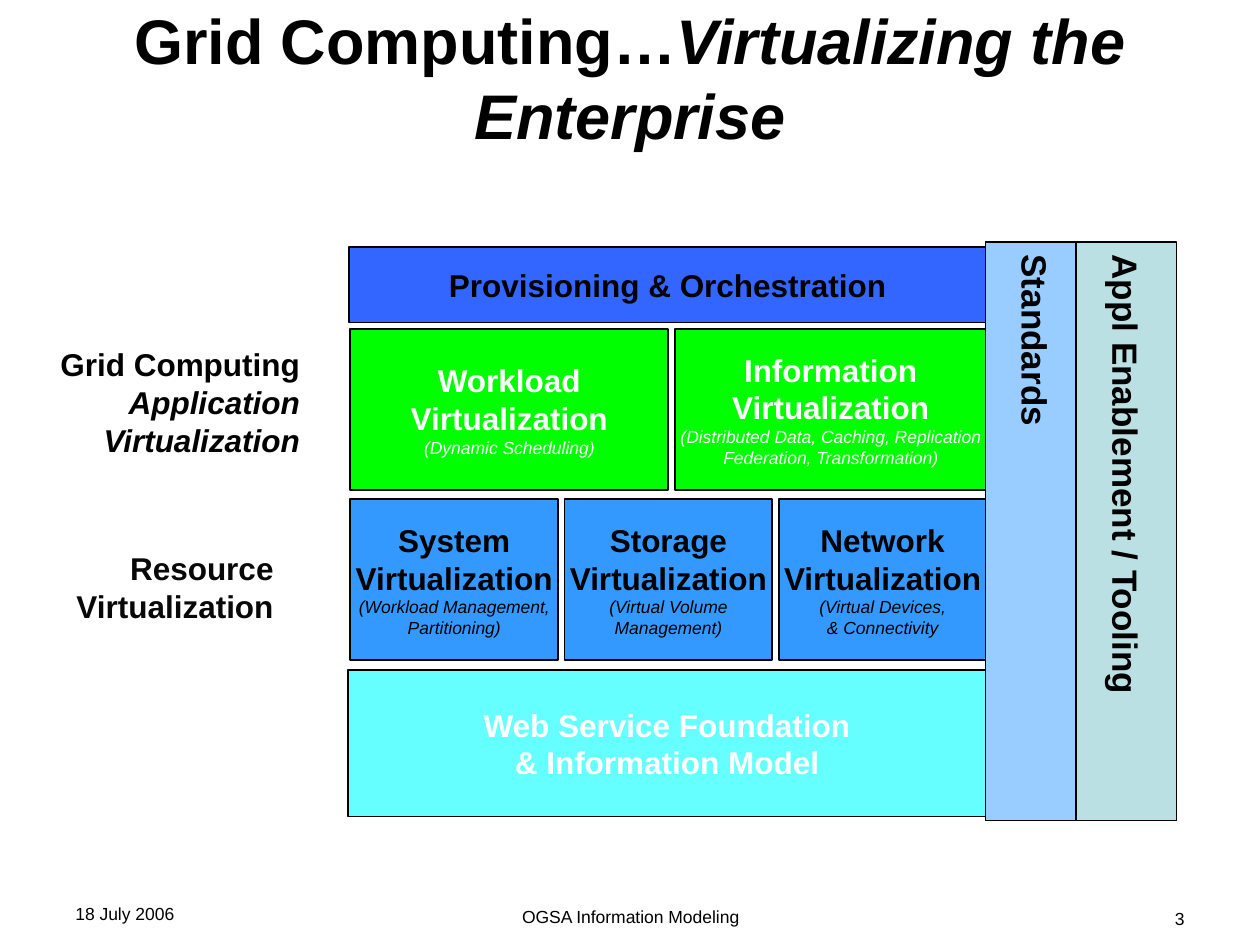
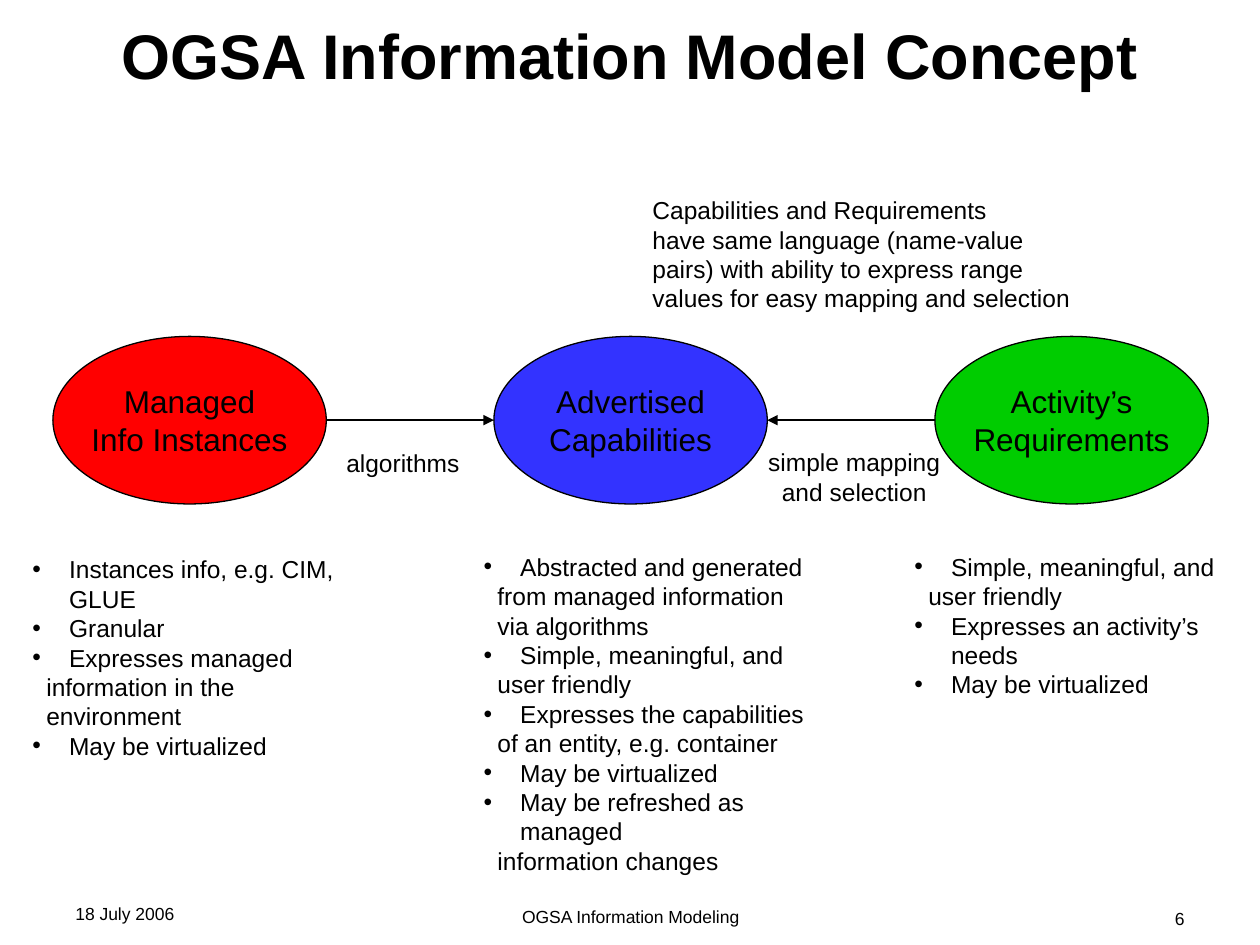
from lxml.etree import SubElement
from pptx import Presentation
from pptx.dml.color import RGBColor
from pptx.enum.shapes import MSO_CONNECTOR, MSO_SHAPE
from pptx.enum.text import MSO_ANCHOR as Anchor, PP_ALIGN as Align
from pptx.oxml.ns import qn
from pptx.util import Inches, Pt

WIDTH, HEIGHT = 10, 7.5
FONT = "Arial"
COLORS = {
    "black": "000000", "label": "080808", "white": "FFFFFF",
    "provisioning": "3366FF", "application": "00FF00",
    "resource": "3399FF", "foundation": "66FFFF",
    "standards": "99CCFF", "tooling": "BBE0E3",
    "managed": "FF0000", "advertised": "3333FF", "activity": "00CC00",
}

# ---- Shared content: text, box, alignment ----
DATE = ("18 July 2006", (0.5, 7.12, 2.33, 0.23), Align.LEFT)
FOOTER = ("OGSA Information Modeling", (3.42, 7.14, 3.17, 0.21), Align.CENTER)
NUMBER_BOX = (7.17, 7.16, 2.33, 0.19)

# ---- Content of the virtualization slide ----
# A line is a list of (text, style) runs; style letters: b bold, i italic
VIRTUALIZING_TITLE = [("Grid Computing…", "b"), ("Virtualizing the Enterprise", "bi")]
STACK_RIGHT, STACK_GAP = 7.83, 0.05
# left, top, height, fill, text colour, [(share of row, headings, details)]
STACK_ROWS = [
    (2.77, 1.96, 0.6, "provisioning", "black",
     [(1, ["Provisioning & Orchestration"], [])]),
    (2.78, 2.61, 1.28, "application", "white",
     [(0.505, ["Workload", "Virtualization"], ["(Dynamic Scheduling)"]),
      (0.495, ["Information", "Virtualization"],
       ["(Distributed Data, Caching, Replication", "Federation, Transformation)"])]),
    (2.78, 3.96, 1.28, "resource", "black",
     [(1 / 3, ["System", "Virtualization"], ["(Workload Management,", "Partitioning)"]),
      (1 / 3, ["Storage", "Virtualization"], ["(Virtual Volume", "Management)"]),
      (1 / 3, ["Network", "Virtualization"], ["(Virtual Devices,", "& Connectivity"])]),
    (2.76, 5.32, 1.16, "foundation", "white",
     [(1, ["Web Service Foundation", "& Information Model"], [])]),
]
PILLARS = [("Standards", 7.82, "standards"),
           ("Appl Enablement / Tooling", 8.54, "tooling")]
PILLAR_TOP, PILLAR_WIDTH, PILLAR_HEIGHT = 1.92, 0.8, 4.59
ROW_LABELS = [
    ((0, 2.69, 2.48, 1), "black",
     [("Grid Computing", "b"), ("Application", "bi"), ("Virtualization", "bi")]),
    ((0, 4.31, 2.27, 0.7), "label", [("Resource", "b"), ("Virtualization", "b")]),
]

# ---- Content of the concept slide ----
CONCEPT_TITLE = [("OGSA Information Model Concept", "b")]
OVAL_LEFT, OVAL_TOP, OVAL_WIDTH, OVAL_HEIGHT, OVAL_STEP = 0.42, 2.67, 2.17, 1.33, 3.5
OVALS = [("managed", ["Managed", "Info Instances"]),
         ("advertised", ["Advertised", "Capabilities"]),
         ("activity", ["Activity’s", "Requirements"])]
CAPTIONS = [
    ((2.65, 3.51, 1.3, 0.34), Align.LEFT, ["algorithms"]),
    ((5.9, 3.5, 1.76, 0.57), Align.CENTER, ["simple mapping", "and selection"]),
    ((5.08, 1.5, 3.8, 1.04), Align.LEFT,
     ["Capabilities and Requirements", "have same language (name-value",
      "pairs) with ability to express range", "values for easy mapping and selection"]),
]
# left, top, [(bulleted, text)]
BULLET_WIDTH, BULLET_HANG, FOLLOW_INDENT = 2.84, 0.29, 0.11
BULLET_COLUMNS = [
    (0.16, 4.35, [
        (True, "Instances info, e.g. CIM,\vGLUE"),
        (True, "Granular"),
        (True, "Expresses managed"),
        (False, "information in the environment"),
        (True, "May be virtualized")]),
    (3.74, 4.33, [
        (True, "Abstracted and generated"),
        (False, "from managed information"),
        (False, "via algorithms"),
        (True, "Simple, meaningful, and"),
        (False, "user friendly"),
        (True, "Expresses the capabilities"),
        (False, "of an entity, e.g. container"),
        (True, "May be virtualized"),
        (True, "May be refreshed as\vmanaged"),
        (False, "information changes")]),
    (7.16, 4.33, [
        (True, "Simple, meaningful, and"),
        (False, "user friendly"),
        (True, "Expresses an activity’s\vneeds"),
        (True, "May be virtualized")]),
]


# ---- Helpers ----
def color(name):
    return RGBColor.from_string(COLORS[name])


def inches(*lengths):
    return [Inches(length) for length in lengths]


def format_run(run, size, name, style=""):
    run.font.name = FONT
    run.font.size = Pt(size)
    run.font.bold = "b" in style
    run.font.italic = "i" in style
    run.font.color.rgb = color(name)


def write(shape, lines, name="black", align=Align.CENTER, anchor=Anchor.TOP, wrap=True):
    """Each line is a (size, runs) pair and becomes one paragraph."""
    frame = shape.text_frame
    frame.word_wrap = wrap
    frame.vertical_anchor = anchor
    for index, (size, runs) in enumerate(lines):
        paragraph = frame.add_paragraph() if index else frame.paragraphs[0]
        paragraph.alignment = align
        for text, style in runs:
            run = paragraph.add_run()
            run.text = text
            format_run(run, size, name, style)


def plain(size, texts, style=""):
    return [(size, [(text, style)]) for text in texts]


def add_text(slide, box, lines, **options):
    shape = slide.shapes.add_textbox(*inches(*box))
    write(shape, lines, **options)
    return shape


def add_block(slide, kind, box, fill, lines, line_width, name="black"):
    shape = slide.shapes.add_shape(kind, *inches(*box))
    shape.shadow.inherit = False
    shape.fill.solid()
    shape.fill.fore_color.rgb = color(fill)
    shape.line.color.rgb = color("black")
    shape.line.width = Pt(line_width)
    write(shape, lines, name, anchor=Anchor.MIDDLE, wrap=False)
    return shape


def add_arrow(slide, start, end, y):
    arrow = slide.shapes.add_connector(MSO_CONNECTOR.STRAIGHT, *inches(start, y, end, y))
    arrow.line.color.rgb = color("black")
    arrow.line.width = Pt(1)
    SubElement(arrow.line._get_or_add_ln(), qn("a:tailEnd"), type="triangle")
    SubElement(arrow._element.spPr, qn("a:effectLst"))


def indent(paragraph, bulleted):
    properties = paragraph._p.get_or_add_pPr()
    margin = BULLET_HANG if bulleted else FOLLOW_INDENT
    properties.set("marL", str(Inches(margin)))
    properties.set("indent", str(-Inches(margin) if bulleted else 0))
    if bulleted:
        SubElement(properties, qn("a:buFont"), typeface=FONT)
        SubElement(properties, qn("a:buChar"), char="•")


def add_base(presentation, number, title, title_box):
    slide = presentation.slides.add_slide(presentation.slide_layouts[6])
    heading = add_text(slide, title_box, [(36, title)], anchor=Anchor.MIDDLE)
    for text, box, align in (DATE, FOOTER, (number, NUMBER_BOX, Align.RIGHT)):
        add_text(slide, box, plain(10, [text]), align=align)
    return slide, heading


# ---- Slides ----
def build_virtualization(presentation):
    slide, _ = add_base(presentation, "3", VIRTUALIZING_TITLE, (0, 0, WIDTH, 1.22))
    for box, name, label in ROW_LABELS:
        add_text(slide, box, [(18, [run]) for run in label], name=name, align=Align.RIGHT)

    # Stack of rows
    for left, top, height, fill, name, cells in STACK_ROWS:
        usable = STACK_RIGHT - left - STACK_GAP * (len(cells) - 1)
        for share, headings, details in cells:
            width = usable * share
            add_block(slide, MSO_SHAPE.RECTANGLE, (left, top, width, height), fill,
                      plain(18, headings, "b") + plain(10, details, "i"), 1, name)
            left += width + STACK_GAP

    # Vertical pillars
    for text, left, fill in PILLARS:
        pillar = add_block(slide, MSO_SHAPE.RECTANGLE,
                           (left, PILLAR_TOP, PILLAR_WIDTH, PILLAR_HEIGHT),
                           fill, plain(20, [text], "b"), 0.75)
        frame = pillar.text_frame
        frame.margin_left = frame.margin_right = Inches(0.05)
        frame.margin_top = frame.margin_bottom = Inches(0.1)
        frame._txBody.bodyPr.set("vert", "eaVert")


def build_concept(presentation):
    slide, heading = add_base(presentation, "6", CONCEPT_TITLE, (0.5, 0.3, 9, 0.37))
    heading.text_frame.paragraphs[0].line_spacing = 0.8

    # Ovals and the arrows that meet at the middle one
    lefts = [OVAL_LEFT + OVAL_STEP * index for index in range(len(OVALS))]
    for left, (fill, texts) in zip(lefts, OVALS):
        add_block(slide, MSO_SHAPE.OVAL, (left, OVAL_TOP, OVAL_WIDTH, OVAL_HEIGHT),
                  fill, plain(18, texts), 0.75)
    middle = OVAL_TOP + OVAL_HEIGHT / 2
    add_arrow(slide, lefts[0] + OVAL_WIDTH, lefts[1], middle)
    add_arrow(slide, lefts[2], lefts[1] + OVAL_WIDTH, middle)

    # Captions
    for box, align, texts in CAPTIONS:
        add_text(slide, box, plain(14, texts), align=align)

    # Bullet columns
    for left, top, items in BULLET_COLUMNS:
        shape = slide.shapes.add_textbox(
            *inches(left, top, BULLET_WIDTH, 0.1 + 0.234 * len(items)))
        frame = shape.text_frame
        frame.word_wrap = True
        for index, (bulleted, text) in enumerate(items):
            paragraph = frame.add_paragraph() if index else frame.paragraphs[0]
            indent(paragraph, bulleted)
            paragraph.text = text
            for run in paragraph.runs:
                format_run(run, 14, "black")


def main():
    presentation = Presentation()
    presentation.slide_width, presentation.slide_height = inches(WIDTH, HEIGHT)
    build_virtualization(presentation)
    build_concept(presentation)
    presentation.save("out.pptx")


if __name__ == "__main__":
    main()
